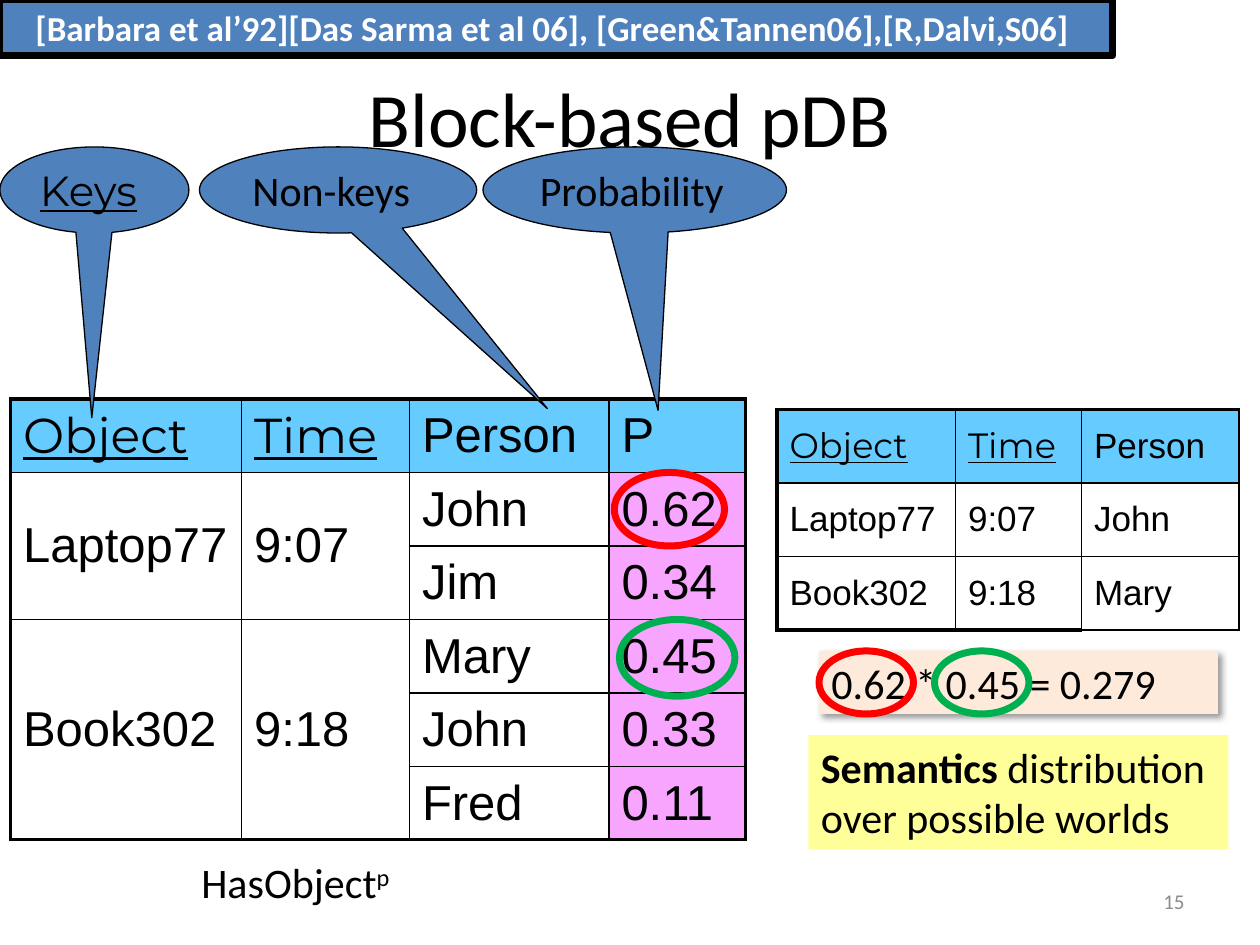
from dataclasses import dataclass

import lxml.etree
import pptx
import pptx.dml.color
import pptx.enum.shapes
import pptx.enum.text
import pptx.oxml.ns
import pptx.util

SHAPE = pptx.enum.shapes.MSO_SHAPE
ALIGN = pptx.enum.text.PP_ALIGN
ANCHOR = pptx.enum.text.MSO_ANCHOR
COLUMNS, ROWS = 120, 90
SLIDE_WIDTH, SLIDE_HEIGHT = pptx.util.Inches(10), pptx.util.Inches(7.5)


@dataclass(frozen=True)
class Theme:
    body_font: str = "Calibri"
    table_font: str = "Arial"
    key_font: str = "Montserrat"
    black: str = "000000"
    white: str = "FFFFFF"
    grey: str = "8C8C8C"
    blue: str = "4F81BD"
    header: str = "66CCFF"
    probability: str = "F8A5FF"
    yellow: str = "FFFF99"
    peach: str = "FDEADA"
    red: str = "FF0000"
    green: str = "00B050"
    title: int = 44
    large: int = 28
    body: int = 24
    small: int = 20
    footer: int = 12
    thin: float = 1
    thick: float = 2.25
    ring: float = 4


THEME = Theme()


@dataclass(frozen=True)
class Box:
    left: float
    top: float
    width: float
    height: float

    def inner(self, left, top, width, height):
        return Box(self.left + left, self.top + top, width, height)

    def lengths(self):
        return (across(self.left), down(self.top), across(self.width), down(self.height))


def across(columns):
    return round(SLIDE_WIDTH * columns / COLUMNS)


def down(rows):
    return round(SLIDE_HEIGHT * rows / ROWS)


def rgb(color):
    return pptx.dml.color.RGBColor.from_string(color)


def add_xml(parent, tag, **attributes):
    element = lxml.etree.SubElement(parent, pptx.oxml.ns.qn(tag))
    for name, value in attributes.items():
        element.set(name, str(value))
    return element


def write(text_frame, text, size, font=THEME.body_font, color=THEME.black,
          align=ALIGN.LEFT, bold=False, underline=False):
    text_frame.text = text
    paragraph = text_frame.paragraphs[0]
    paragraph.alignment = align
    for run in paragraph.runs:
        style(run, size, font, color, bold, underline)
    return paragraph


def style(run, size, font, color, bold=False, underline=False):
    run.font.size = pptx.util.Pt(size)
    run.font.name = font
    run.font.color.rgb = rgb(color)
    run.font.bold = bold
    run.font.underline = underline


def add_shape(slide, kind, box, fill=None, line=None, weight=THEME.thin):
    shape = slide.shapes.add_shape(kind, *box.lengths())
    shape.shadow.inherit = False
    if fill:
        shape.fill.solid()
        shape.fill.fore_color.rgb = rgb(fill)
    else:
        shape.fill.background()
    if line:
        shape.line.color.rgb = rgb(line)
        shape.line.width = pptx.util.Pt(weight)
    else:
        shape.line.fill.background()
    shape.text_frame.word_wrap = True
    shape.text_frame.vertical_anchor = ANCHOR.TOP
    return shape


def add_ring(slide, box, color):
    add_shape(slide, SHAPE.OVAL, box, line=color, weight=THEME.ring)


def add_title(slide, box):
    title = slide.shapes.title
    title.left, title.top, title.width, title.height = box.lengths()
    title.text_frame.vertical_anchor = ANCHOR.MIDDLE
    write(title.text_frame, "Block-based pDB", THEME.title, align=ALIGN.CENTER)


def add_citation(slide, box):
    shape = add_shape(slide, SHAPE.RECTANGLE, box, THEME.blue, THEME.black, THEME.ring)
    write(shape.text_frame,
          "[Barbara et al’92][Das Sarma et al 06], [Green&Tannen06],[R,Dalvi,S06] ",
          THEME.small, color=THEME.white, align=ALIGN.CENTER, bold=True)


def add_page_number(slide, box):
    text_box = slide.shapes.add_textbox(*box.lengths())
    text_box.text_frame.word_wrap = True
    text_box.text_frame.vertical_anchor = ANCHOR.MIDDLE
    write(text_box.text_frame, "15", THEME.footer, color=THEME.grey, align=ALIGN.RIGHT)


def draw_borders(cell, left, right, top, bottom):
    properties = cell._tc.get_or_add_tcPr()
    for tag, weight in (("a:lnL", left), ("a:lnR", right), ("a:lnT", top), ("a:lnB", bottom)):
        line = add_xml(properties, tag, w=pptx.util.Pt(weight))
        add_xml(add_xml(line, "a:solidFill"), "a:srgbClr", val=THEME.black)


def add_relation(slide, box, widths, records, size, heavy_right=False):
    row_count, column_count = len(records), len(widths)
    table = slide.shapes.add_table(row_count, column_count, *box.lengths()).table
    table.first_row = table.horz_banding = False
    for column, width in zip(table.columns, widths):
        column.width = across(width)
    for row in table.rows:
        row.height = down(box.height / row_count)
    for r, record in enumerate(records):
        for c, text in enumerate(record):
            cell = table.cell(r, c)
            last_row = r
            while text and last_row + 1 < row_count and records[last_row + 1][c] is None:
                last_row += 1
            if last_row > r:
                cell.merge(table.cell(last_row, c))
            last_column = c == column_count - 1
            thick_bottom = last_row == row_count - 1 and (heavy_right or not last_column)
            edges = (c == 0, last_column and heavy_right, r == 0, thick_bottom)
            draw_borders(cell, *(THEME.thick if edge else THEME.thin for edge in edges))
            if r == 0 or c == 3:
                cell.fill.solid()
                cell.fill.fore_color.rgb = rgb(THEME.header if r == 0 else THEME.probability)
            else:
                cell.fill.background()
            cell.vertical_anchor = ANCHOR.MIDDLE
            if text:
                is_key = r == 0 and c < 2
                write(cell.text_frame, text, size, underline=is_key,
                      font=THEME.key_font if is_key else THEME.table_font)


def add_block_relation(slide, box):
    records = [("Object", "Time", "Person", "P"),
               ("Laptop77", "9:07", "John", "0.62"), (None, None, "Jim", "0.34"),
               ("Book302", "9:18", "Mary", "0.45"), (None, None, "John", "0.33"),
               (None, None, "Fred", "0.11")]
    add_relation(slide, box, (22, 16, 19, 13), records, THEME.large, heavy_right=True)
    caption = slide.shapes.add_textbox(*box.inner(17, 43, 20.7, 6).lengths())
    caption.text_frame.word_wrap = False
    paragraph = write(caption.text_frame, "HasObject", THEME.body)
    superscript = paragraph.add_run()
    superscript.text = "p"
    style(superscript, THEME.body, THEME.body_font, THEME.black)
    superscript._r.get_or_add_rPr().set("baseline", "30000")


def add_callouts(slide, box):
    callouts = (("Keys", 0, 18, -0.014, 2.644, True),
                ("Probability", 46, 28.9, 0.077, 2.559, False),
                ("Non-keys", 19, 26.4, 0.755, 2.538, False))
    for text, left, width, tip_x, tip_y, is_key in callouts:
        shape = add_shape(slide, SHAPE.OVAL_CALLOUT, box.inner(left, 0, width, box.height),
                          THEME.blue, THEME.black, 0.75)
        shape.adjustments[0], shape.adjustments[1] = tip_x, tip_y
        shape.text_frame.word_wrap = False
        shape.text_frame.vertical_anchor = ANCHOR.MIDDLE
        write(shape.text_frame, text, THEME.body, underline=is_key,
              font=THEME.key_font if is_key else THEME.body_font)


def add_semantics(slide, box):
    shape = add_shape(slide, SHAPE.RECTANGLE, box, THEME.yellow)
    paragraph = write(shape.text_frame, "Semantics ", THEME.body, bold=True)
    run = paragraph.add_run()
    run.text = "distribution over possible worlds"
    style(run, THEME.body, THEME.body_font, THEME.black)


def add_possible_world(slide, box):
    records = [("Object", "Time", "Person"), ("Laptop77", "9:07", "John"),
               ("Book302", "9:18", "Mary")]
    add_relation(slide, box, (17, 12, 15), records, THEME.small)


def add_product(slide, box):
    shape = add_shape(slide, SHAPE.RECTANGLE, box, THEME.peach)
    effects = shape._element.spPr.find(pptx.oxml.ns.qn("a:effectLst"))
    shadow = add_xml(effects, "a:outerShdw", blurRad=pptx.util.Pt(4),
                     dist=pptx.util.Pt(3), dir=45 * 60000, algn="tl", rotWithShape=0)
    add_xml(add_xml(shadow, "a:srgbClr", val=THEME.black), "a:alpha", val=40000)
    write(shape.text_frame, "0.62 * 0.45 = 0.279", THEME.body)
    for left, color in ((0, THEME.red), (11, THEME.green)):
        add_ring(slide, box.inner(left, 0, 9, box.height), color)


def add_chosen_rings(slide, box):
    add_ring(slide, box.inner(57.5, 7, 10.5, 7), THEME.red)
    add_ring(slide, box.inner(58, 21, 11, 7.3), THEME.green)


def main():
    presentation = pptx.Presentation()
    presentation.slide_width, presentation.slide_height = SLIDE_WIDTH, SLIDE_HEIGHT
    slide = presentation.slides.add_slide(presentation.slide_layouts[5])
    relation_box = Box(1, 38, 70, 42)
    add_page_number(slide, Box(86, 83.4, 28, 4.8))
    add_title(slide, Box(6, 3.6, 108, 15))
    add_block_relation(slide, relation_box)
    add_callouts(slide, Box(0, 14, 75, 8.2))
    add_citation(slide, Box(0, 0, 106, 5.3))
    add_semantics(slide, Box(77, 70, 40, 10.9))
    add_possible_world(slide, Box(74, 39, 44, 21))
    add_product(slide, Box(78, 62, 38, 6))
    add_chosen_rings(slide, relation_box)
    presentation.save("out.pptx")


if __name__ == "__main__":
    main()
